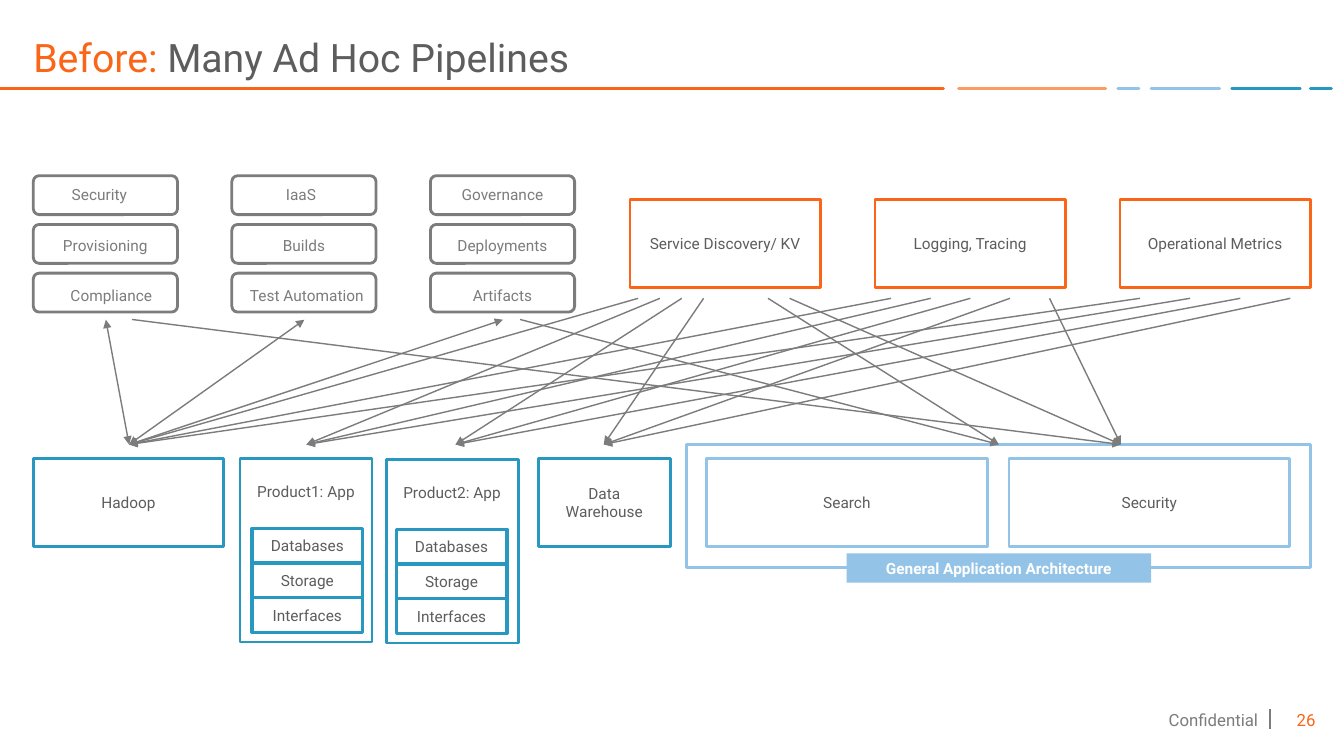
from lxml import etree
from pptx import Presentation
from pptx.dml import color
from pptx.enum import shapes, text
from pptx.oxml import ns
from pptx.util import Pt

FONT = "Roboto"
ORANGE, PEACH, SKY, TEAL = "FB6517", "FC9D60", "93C3E6", "2898C1"
GRAY, DARK, WHITE = "7C7C7C", "5D5D5D", "FFFFFF"

# Content
TITLE = [("Before: ", ORANGE), ("Many Ad Hoc Pipelines", DARK)]
RULES = [(0, 673.9, ORANGE), (684.7, 789.8, PEACH), (798.5, 813.6, SKY),
         (822.2, 871.2, SKY), (879.8, 928.8, TEAL), (936, 951.1, TEAL)]
TASKS = [["Security", "Provisioning", "Compliance"],
         ["IaaS", "Builds", "Test Automation"],
         ["Governance", "Deployments", "Artifacts"]]
NUDGE = [4.3, 2.2, 0]  # label drift per row, by column
TOOLS = ["Service Discovery/ KV", "Logging, Tracing", "Operational Metrics"]
STORES = [("Hadoop", 23.8, 136, TEAL), ("Data Warehouse", 384.5, 94.3, TEAL),
          ("Search", 504.7, 200.5, SKY), ("Security", 720.7, 200.5, SKY)]
APPS = [("Product1: App", 171.4, 327.6, 8.6), ("Product2: App", 275.8, 328.3, 7.2)]
PARTS = ["Databases", "Storage", "Interfaces"]
TAG = "General Application Architecture"

# Arrow ends by name, and arrows as (first x, step, y, ends)
ENDS = {"hadoop": 92.2, "app1": 218.9, "app2": 325.4,
        "data": 431.3, "search": 713.5, "secure": 800.6}
FOUR = ["hadoop", "app1", "app2", "data"]
FLOWS = [(94.3, 277.2, 228.2, ["secure", "search"]),
         (455.8, 15.6, 213.1, FOUR),
         (548.6, 15.4, 213.1, ["search", "secure"]),
         (636.5, 28.3, 213.1, FOUR + ["secure"]),
         (814.3, 35.8, 213.1, FOUR)]

# Shared measures
LEFT, TOP, END_Y = 23.8, 327.6, 317.5
TASK_W, TASK_H, TASK_GAP = 103, 27.8, 141.84
BOX_W, BOX_H = 136, 62.6

prs = Presentation()
prs.slide_width, prs.slide_height = Pt(960), Pt(540)
slide = prs.slides.add_slide(prs.slide_layouts[5])


def rgb(code):
    return color.RGBColor.from_string(code)


def style(par, size, code, bold=None):
    par.font.name, par.font.size, par.font.bold = FONT, Pt(size), bold
    par.font.color.rgb = rgb(code)


def write(shape, words, code, size=11, bold=None, align="CENTER",
          anchor="MIDDLE", pad=(7.2, 3.6, 7.2, 3.6)):
    frame = shape.text_frame
    frame.word_wrap = True
    frame.vertical_anchor = text.MSO_ANCHOR[anchor]
    (frame.margin_left, frame.margin_top,
     frame.margin_right, frame.margin_bottom) = map(Pt, pad)
    par = frame.paragraphs[0]
    par.text = words
    par.alignment = text.PP_ALIGN[align]
    style(par, size, code, bold)


def box(x, y, w, h, edge=None, fill=None, weight=2, kind="RECTANGLE"):
    shape = slide.shapes.add_shape(shapes.MSO_SHAPE[kind], Pt(x), Pt(y), Pt(w), Pt(h))
    shape.shadow.inherit = False
    if fill:
        shape.fill.solid()
        shape.fill.fore_color.rgb = rgb(fill)
    else:
        shape.fill.background()
    if edge:
        shape.line.color.rgb = rgb(edge)
        shape.line.width = Pt(weight)
    else:
        shape.line.fill.background()
    return shape


def line(x1, y1, x2, y2, code, weight=1, tips=(), cap=None):
    link = slide.shapes.add_connector(
        shapes.MSO_CONNECTOR.STRAIGHT, Pt(x1), Pt(y1), Pt(x2), Pt(y2))
    link.line.color.rgb = rgb(code)
    link.line.width = Pt(weight)
    edge = link.line._get_or_add_ln()
    if cap:
        edge.set("cap", cap)
    for tip in tips:
        etree.SubElement(edge, ns.qn("a:" + tip), type="triangle")
    etree.SubElement(link._element.spPr, ns.qn("a:effectLst"))


def label(x, y, w, h, words, code):
    area = slide.shapes.add_textbox(Pt(x), Pt(y), Pt(w), Pt(h))
    write(area, words, code, size=12, align="RIGHT")


# Title and coloured rule
title = slide.shapes.title
title.left, title.top, title.width, title.height = Pt(LEFT), Pt(0), Pt(912.2), Pt(61.2)
write(title, "", DARK, 28, align="LEFT", anchor="BOTTOM", pad=(0, 3.6, 0, 3.6))
title.text_frame.auto_size = text.MSO_AUTO_SIZE.NONE
head = title.text_frame.paragraphs[0]
head.line_spacing = 0.9
for words, code in TITLE:
    run = head.add_run()
    run.text = words
    run.font.color.rgb = rgb(code)
for x1, x2, code in RULES:
    line(x1, 63.4, x2, 63.4, code, 2, cap="rnd")

# Gray task boxes
for col, names in enumerate(TASKS):
    for row, name in enumerate(names):
        task = box(LEFT + col * TASK_GAP, 125.5 + row * 34.8, TASK_W, TASK_H,
                   GRAY, kind="ROUNDED_RECTANGLE")
        task.adjustments[0] = 0.15
        drift = NUDGE[col] * (row - 1)
        write(task, name, GRAY, anchor="TOP",
              pad=(5 + drift, 5.6 + 1.2 * row, 5 - drift, 0))

# Orange tool boxes
for i, name in enumerate(TOOLS):
    write(box(450 + 175 * i, 142.6, BOX_W, BOX_H, ORANGE), name, DARK)

# Stores and the architecture frame
box(490.3, END_Y, 445.7, 87.8, SKY)
for name, x, w, code in STORES:
    write(box(x, TOP, w, BOX_H, code), name, DARK)
write(box(604.8, 395.3, 217.4, 20.9, fill=SKY), TAG, WHITE, bold=True)

# Product apps with their parts
for name, x, y, inset in APPS:
    write(box(x, y, 94.3, 131, TEAL), name, DARK, anchor="TOP",
          pad=(7.2, 16.5, 7.2, 3.6))
    for i, part in enumerate(PARTS):
        cell = box(x + inset, y + 49.7 + 24.9 * i, 79.2, 24.5, TEAL, WHITE, 2.25)
        write(cell, part, DARK)

# Arrows
for x, step, y, names in FLOWS:
    for i, name in enumerate(names):
        line(x + step * i, y, ENDS[name], END_Y, GRAY, tips=["tailEnd"])
for col in range(len(TASKS)):
    line(75.6 + TASK_GAP * col, 228.4, ENDS["hadoop"], END_Y, GRAY,
         tips=["headEnd", "tailEnd"])

# Footer
line(907.2, 520.6, 907.2, 506.2, GRAY)
label(892.8, 503.3, 54, 21.6, "26", ORANGE)
label(766.8, 503.3, 139, 21.6, "Confidential", GRAY)

prs.save("out.pptx")
